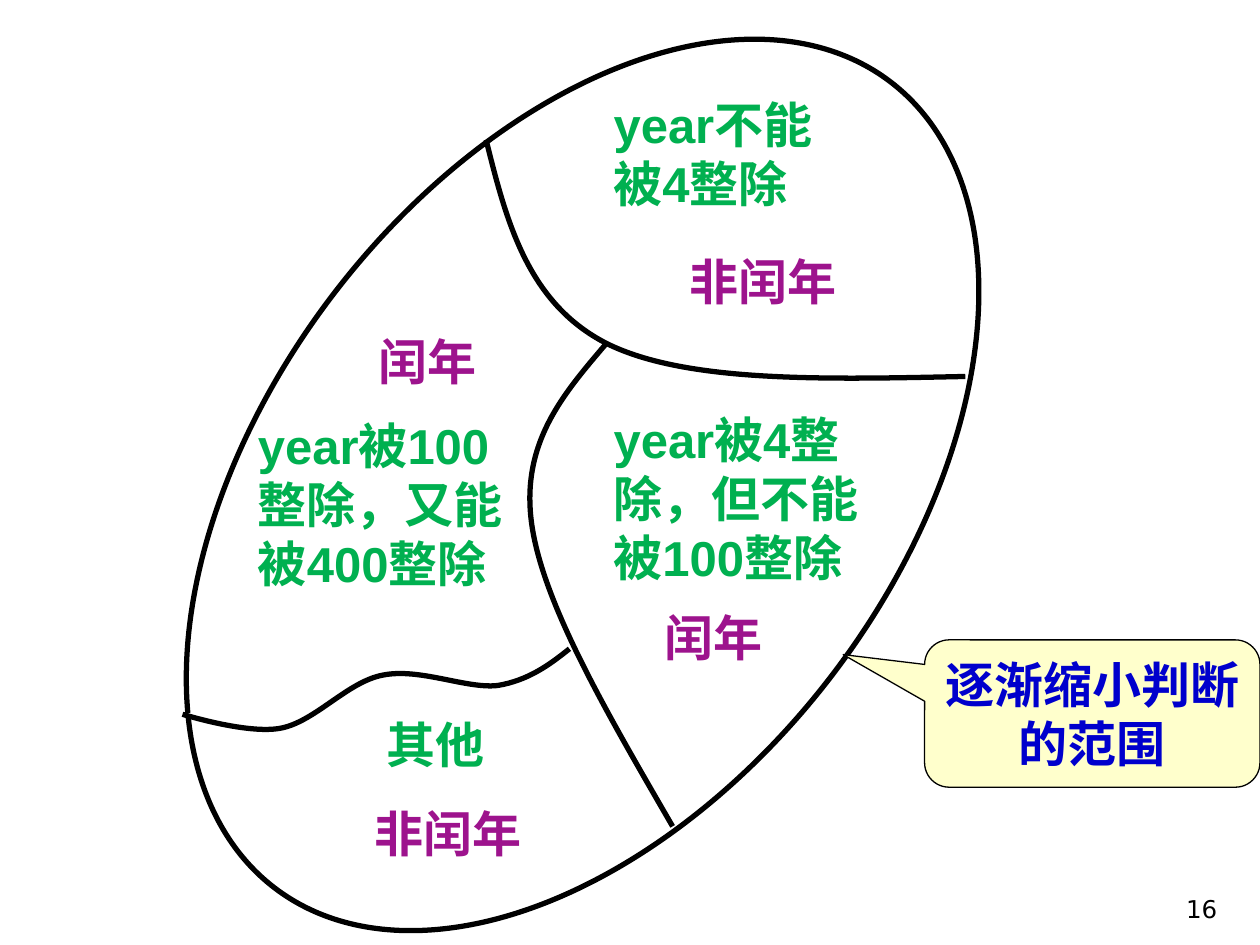
from pptx import Presentation
from pptx.dml.color import RGBColor
from pptx.enum.shapes import MSO_SHAPE
from pptx.enum.text import MSO_ANCHOR, PP_ALIGN
from pptx.oxml.ns import qn
from pptx.util import Cm, Pt
from lxml.etree import SubElement

BLACK = RGBColor(0x00, 0x00, 0x00)
WHITE = RGBColor(0xFF, 0xFF, 0xFF)
GREEN = RGBColor(0x00, 0xB0, 0x50)
PURPLE = RGBColor(0x9D, 0x13, 0x8D)
BLUE = RGBColor(0x00, 0x00, 0xCC)
CREAM = RGBColor(0xFF, 0xFF, 0xCC)

NOT_BY_4_BORDER = [
    (9.8, 2.82), (10.21, 4.47), (10.64, 6.12), (12.24, 6.93),
    (13.84, 7.72), (16.64, 7.65), (19.46, 7.59),
]
NOT_BY_100_BORDER = [
    (12.22, 6.93), (11.35, 7.95), (10.49, 8.94), (10.72, 10.57),
    (10.95, 12.19), (12.27, 14.43), (13.56, 16.66),
]
OTHERS_BORDER = [
    (11.48, 13.08), (11.07, 13.41), (10.64, 13.72), (10.03, 13.82),
    (9.4, 13.89), (8.46, 13.46), (7.72, 13.61),
    (7.01, 13.74), (6.35, 14.55), (5.66, 14.68),
    (5, 14.81), (3.68, 14.4), (3.68, 14.4),
]
CONDITIONS = [
    ("year不能被4整除", 12.12, 1.78, 4.95, 2.64),
    ("year被4整除，但不能被100整除", 12.12, 8.13, 5.94, 3.84),
    ("year被100整除，又能被400整除", 4.95, 8.26, 5.94, 3.84),
    ("其他", 7.54, 14.27, 3.18, 1.45),
]
VERDICTS = [
    ("非闰年", 12.9, 4.95),
    ("闰年", 11.91, 12.12),
    ("闰年", 6.15, 6.55),
    ("非闰年", 6.55, 16.08),
]


def style_shape(shape, fill, line_width):
    """Give a shape a black outline and a plain or empty fill."""
    shape.shadow.inherit = False
    if fill is None:
        shape.fill.background()
    else:
        shape.fill.solid()
        shape.fill.fore_color.rgb = fill
    shape.line.color.rgb = BLACK
    shape.line.width = Pt(line_width)


def write_text(frame, text, color, align, size=28, font="Arial", bold=True):
    """Write one run of text into a wrapping frame."""
    frame.word_wrap = True
    paragraph = frame.paragraphs[0]
    paragraph.alignment = align
    run = paragraph.add_run()
    run.text = text
    run.font.name = font
    run.font.size = Pt(size)
    run.font.bold = bold
    run.font.color.rgb = color


def add_label(slide, text, box, color, align=PP_ALIGN.LEFT, **font):
    """Add a text box and return its frame."""
    frame = slide.shapes.add_textbox(*map(Cm, box)).text_frame
    write_text(frame, text, color, align, **font)
    return frame


def add_border(slide, points, fill=None):
    """Draw a chain of Bezier curves through a start and point triples."""
    start, *rest = [(Cm(x), Cm(y)) for x, y in points]
    builder = slide.shapes.build_freeform(*start)
    builder.add_line_segments(rest, close=False)
    border = builder.convert_to_shape()
    segments = list(border._element.iter(qn("a:lnTo")))
    outline = segments[0].getparent()
    for first in range(0, len(segments), 3):
        curve = SubElement(outline, qn("a:cubicBezTo"))
        for segment in segments[first:first + 3]:
            curve.append(segment[0])
            outline.remove(segment)
    style_shape(border, fill, 3)


def add_all_years(slide):
    """Draw the tilted ellipse that holds every year."""
    years = slide.shapes.add_shape(
        MSO_SHAPE.OVAL, Cm(1.52), Cm(3.45), Cm(20.45), Cm(12.65))
    years.rotation = 307.4
    style_shape(years, WHITE, 3)


def add_callout(slide):
    """Add the remark that points at the ellipse."""
    remark = slide.shapes.add_shape(
        MSO_SHAPE.ROUNDED_RECTANGULAR_CALLOUT,
        Cm(18.64), Cm(12.9), Cm(6.76), Cm(2.97))
    for index, value in enumerate((-0.743, -0.4, 0.167)):
        remark.adjustments[index] = value
    style_shape(remark, CREAM, 0.75)
    remark.text_frame.vertical_anchor = MSO_ANCHOR.MIDDLE
    write_text(remark.text_frame, "逐渐缩小判断的范围", BLUE, PP_ALIGN.CENTER)


def main():
    """Build the leap year slide."""
    deck = Presentation()
    deck.slide_width, deck.slide_height = Cm(25.4), Cm(19.05)
    slide = deck.slides.add_slide(deck.slide_layouts[6])
    add_all_years(slide)
    add_border(slide, NOT_BY_4_BORDER)
    add_border(slide, NOT_BY_100_BORDER)
    add_border(slide, OTHERS_BORDER, WHITE)
    for text, *box in CONDITIONS:
        add_label(slide, text, box, GREEN)
    for text, left, top in VERDICTS:
        add_label(slide, text, (left, top, 4.95, 1.45), PURPLE, PP_ALIGN.CENTER)
    add_callout(slide)
    page_number = add_label(
        slide, "16", (19.51, 17.48, 5.28, 1.27), BLACK, PP_ALIGN.RIGHT,
        size=14, font="DejaVu Sans", bold=False)
    page_number.vertical_anchor = MSO_ANCHOR.BOTTOM
    deck.save("out.pptx")


if __name__ == "__main__":
    main()
